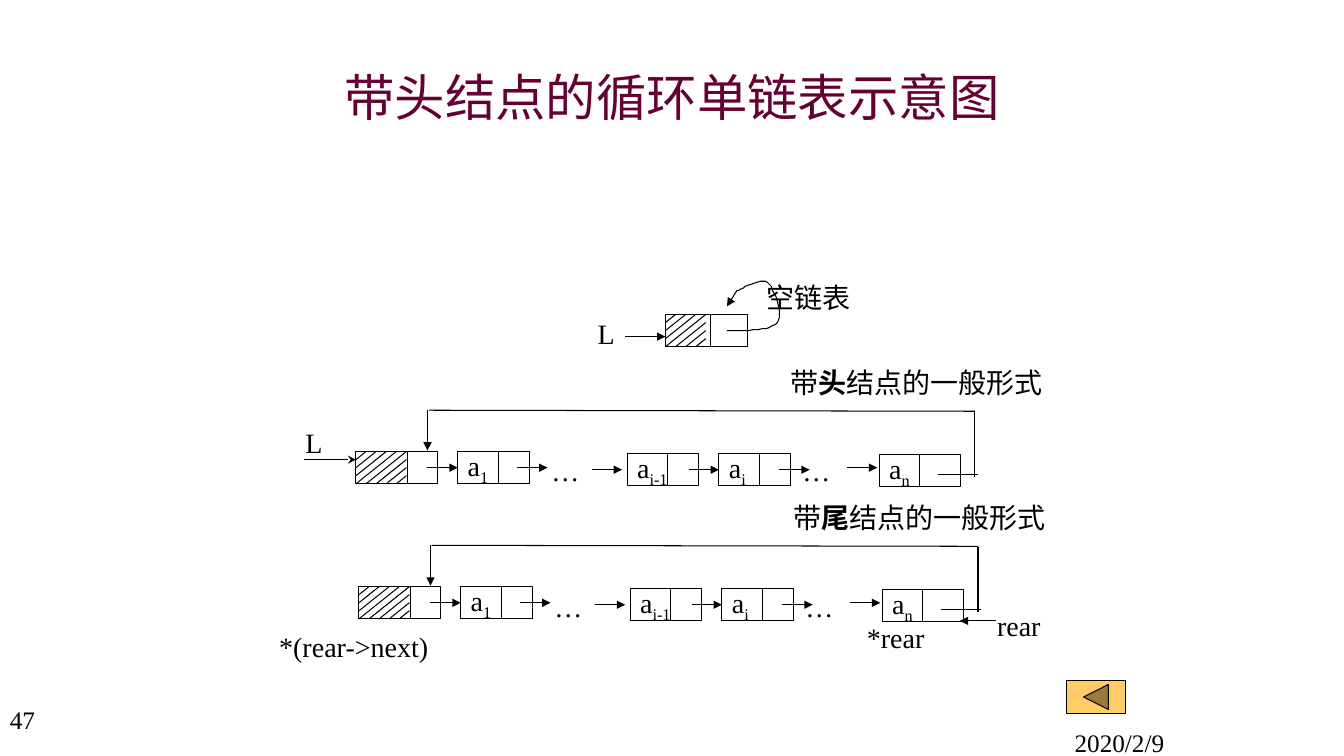
from lxml import etree
from pptx import Presentation
from pptx.dml.color import RGBColor
from pptx.enum.shapes import MSO_CONNECTOR, MSO_SHAPE
from pptx.enum.text import MSO_ANCHOR, PP_ALIGN
from pptx.oxml.ns import qn
from pptx.util import Emu, Pt

PX = 9144
BLACK = RGBColor(0, 0, 0)
WHITE = RGBColor(255, 255, 255)
PLUM = RGBColor(0x66, 0x00, 0x33)
AMBER = RGBColor(0xFF, 0xCC, 0x66)
SERIF = "Times New Roman"
CHINESE = "Noto Sans CJK SC"
STRAIGHT = MSO_CONNECTOR.STRAIGHT
RECTANGLE = MSO_SHAPE.RECTANGLE
BACK_BUTTON = MSO_SHAPE.ACTION_BUTTON_BACK_OR_PREVIOUS
TOP, MIDDLE = MSO_ANCHOR.TOP, MSO_ANCHOR.MIDDLE
LEFT, CENTER, RIGHT = PP_ALIGN.LEFT, PP_ALIGN.CENTER, PP_ALIGN.RIGHT
BOX_HEIGHT = 32
HATCH_STEP_X, HATCH_STEP_Y = 10, 8


def px(*lengths):
    return [Emu(length * PX) for length in lengths]


def write(shape, text, subscript="", bold="", size=20, font=SERIF, color=BLACK,
          align=LEFT, anchor=MIDDLE):
    frame = shape.text_frame
    frame.word_wrap = True
    frame.vertical_anchor = anchor
    para = frame.paragraphs[0]
    para.alignment = align
    before, mark, after = text.partition(bold) if bold else (text, "", "")
    for part in (before, mark, after, subscript):
        if not part:
            continue
        span = para.add_run()
        span.text = part
        span.font.size = Pt(size)
        span.font.name = font
        span.font.color.rgb = color
        span.font.bold = bool(mark) and part == mark
        properties = span.font._element
        etree.SubElement(properties, qn("a:ea")).set("typeface", CHINESE)
        if part == subscript:
            properties.set("baseline", "-25000")


def add_text(page, left, top, width, height, text, **style):
    box = page.shapes.add_textbox(*px(left, top, width, height))
    write(box, text, **style)


def add_block(page, left, top, width, height, kind=RECTANGLE, fill=WHITE, outlined=True):
    block = page.shapes.add_shape(kind, *px(left, top, width, height))
    block.shadow.inherit = False
    block.fill.solid()
    block.fill.fore_color.rgb = fill
    if outlined:
        block.line.color.rgb = BLACK
        block.line.width = Pt(0.75)
    else:
        block.line.fill.background()
    return block


def add_line(page, x1, y1, x2, y2, head=None):
    line = page.shapes.add_connector(STRAIGHT, *px(x1, y1, x2, y2))
    line.line.color.rgb = BLACK
    line.line.width = Pt(0.75)
    if head:
        etree.SubElement(line.line._get_or_add_ln(), qn("a:tailEnd")).set("type", head)
    etree.SubElement(line._element.spPr, qn("a:effectLst"))


def add_head_node(page, left, top, columns, divider):
    add_block(page, left, top, 81, BOX_HEIGHT)
    rows = BOX_HEIGHT // HATCH_STEP_Y
    for step in range(1, columns + rows):
        right_column, right_row = min(step, columns), max(step - columns, 0)
        left_column, left_row = max(step - rows, 0), min(step, rows)
        add_line(page, left + right_column * HATCH_STEP_X, top + right_row * HATCH_STEP_Y,
                 left + left_column * HATCH_STEP_X, top + left_row * HATCH_STEP_Y)
    add_line(page, left + divider, top, left + divider, top + BOX_HEIGHT)


def add_data_node(page, left, top, width, index):
    write(add_block(page, left, top, width, BOX_HEIGHT), "a", subscript=index)
    add_line(page, left + 40, top, left + 40, top + BOX_HEIGHT)


def bezier(start, first, second, end, steps=12):
    for step in range(1, steps + 1):
        t = step / steps
        s = 1 - t
        yield tuple(s ** 3 * a + 3 * s * s * t * b + 3 * s * t * t * c + t ** 3 * d
                    for a, b, c, d in zip(start, first, second, end))


def add_empty_list(page, left, top):
    add_line(page, left + 71, top - 24, left + 61, top - 8, "triangle")
    add_line(page, left - 40, top + 22, left, top + 22, "triangle")
    add_head_node(page, left, top, 4, 45)
    loop = [(61, 16), (83, 16), (104, 16), (111, 8), (118, 0), (108, -26),
            (101, -32), (94, -37), (76, -25), (71, -24)]
    loop = [(left + x, top + y) for x, y in loop]
    points = [point for start in (0, 3, 6) for point in bezier(*loop[start:start + 4])]
    builder = page.shapes.build_freeform(*loop[0], scale=PX)
    builder.add_line_segments(points, close=False)
    curve = builder.convert_to_shape()
    curve.shadow.inherit = False
    curve.fill.background()
    curve.line.color.rgb = BLACK
    curve.line.width = Pt(0.75)
    add_text(page, left - 77, top + 1, 35, 36, "L", align=RIGHT)
    add_text(page, left + 90, top - 39, 150, 43, "空链表", font=CHINESE, anchor=TOP)


def add_ring(page, left, top, caption, bold):
    add_head_node(page, left, top, 5, 51)
    for x in (184, 433):
        write(add_block(page, left + x, top + 3, 61, BOX_HEIGHT, outlined=False), "…")
    for x, y, width, index in ((101, 0, 71, "1"), (269, 2, 71, "i-1"),
                               (360, 2, 71, "i"), (519, 3, 81, "n")):
        add_data_node(page, left + x, top + y, width, index)
    for x, y in ((71, 16), (160, 16), (234, 18), (330, 18), (420, 18), (487, 16)):
        add_line(page, left + x, top + y, left + x + 30, top + y, "triangle")
    add_line(page, left + 577, top + 23, left + 617, top + 23)
    add_line(page, left + 614, top + 25, left + 614, top - 39)
    add_line(page, left + 72, top - 41, left + 614, top - 40)
    add_line(page, left + 71, top - 41, left + 71, top - 1, "triangle")
    add_text(page, left + 421, top - 90, 290, 50, caption, bold=bold, font=CHINESE,
             anchor=TOP)


def add_head_ring(page, left, top):
    add_ring(page, left, top, "带头结点的一般形式", "头")
    add_line(page, left - 51, top + 8, left, top + 8, "stealth")
    add_text(page, left - 60, top - 26, 38, 33, "L")


def add_rear_ring(page, left, top):
    add_ring(page, left, top, "带尾结点的一般形式", "尾")
    add_text(page, left + 623, top + 22, 71, 33, "rear")
    add_line(page, left + 632, top + 34, left + 596, top + 34, "triangle")
    add_text(page, left - 89, top + 34, 185, 50, "*(rear->next)")
    add_text(page, left + 494, top + 34, 100, 33, "*rear")


def add_footer(page, top):
    add_text(page, 1056, top + 23, 278, 33, "2020/2/9", size=18, anchor=TOP)
    add_text(page, 0, top, 86, 53, "47", size=18, anchor=TOP)
    add_block(page, 1058, top - 19, 58, 33, kind=BACK_BUTTON, fill=AMBER)


def main():
    deck = Presentation()
    deck.slide_width, deck.slide_height = px(1333, 750)
    page = deck.slides.add_slide(deck.slide_layouts[6])
    add_text(page, 100, 58, 1133, 75, "带头结点的循环单链表示意图", size=36,
             font=CHINESE, color=PLUM, align=CENTER)
    add_empty_list(page, 660, 312)
    add_head_ring(page, 353, 448)
    add_rear_ring(page, 356, 582)
    add_footer(page, 694)
    deck.save("out.pptx")


if __name__ == "__main__":
    main()
